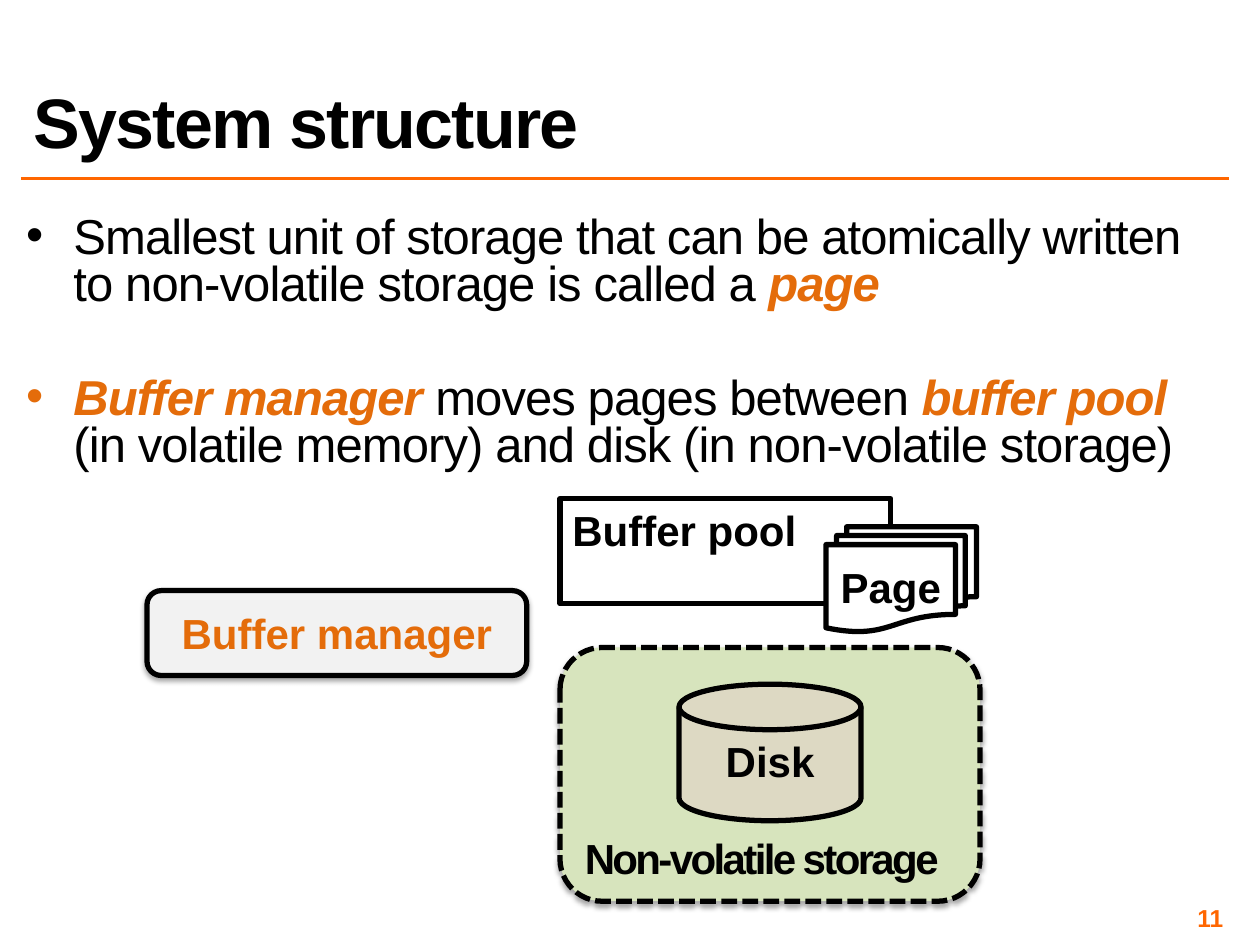
import pptx
import pptx.dml.color
import pptx.enum.dml
import pptx.enum.shapes
import pptx.enum.text
import pptx.oxml
import pptx.oxml.ns
import pptx.util
from lxml import etree

Pt = pptx.util.Pt
RGB = pptx.dml.color.RGBColor
KIND = pptx.enum.shapes.MSO_SHAPE
ALIGN = pptx.enum.text.PP_ALIGN
ANCHOR = pptx.enum.text.MSO_ANCHOR
qn = pptx.oxml.ns.qn

BLACK = RGB(0, 0, 0)
WHITE = RGB(0xFF, 0xFF, 0xFF)
RULE = RGB(0xFF, 0x66, 0x00)
ORANGE = RGB(0xE4, 0x6C, 0x0A)
GRAY = RGB(0xF2, 0xF2, 0xF2)
GREEN = RGB(0xD7, 0xE4, 0xBD)
SAND = RGB(0xDD, 0xD9, 0xC3)

SHADOW = (
    '<a:outerShdw %s blurRad="39400" dist="22900" dir="5400000" rotWithShape="0">'
    '<a:srgbClr val="000000"><a:alpha val="35000"/></a:srgbClr></a:outerShdw>'
    % pptx.oxml.ns.nsdecls("a")
)


class Deck:
    face = "Arial"
    edge = 3

    def __init__(self, wide, high):
        self.prs = pptx.Presentation()
        self.prs.slide_width, self.prs.slide_height = Pt(wide), Pt(high)
        self.slide = self.prs.slides.add_slide(self.prs.slide_layouts[6])

    def font(self, font, size, color, bold=True):
        font.name, font.size, font.bold = self.face, Pt(size), bold
        font.color.rgb = color

    def run(self, para, text, space=0):
        run = para.add_run()
        run.text = text
        if space:
            run._r.get_or_add_rPr().set("spc", str(int(space * 100)))
        return run

    def frame(self, shape, anchor, pad=None):
        frame = shape.text_frame
        frame.word_wrap = True
        frame.vertical_anchor = anchor
        if pad:
            (frame.margin_left, frame.margin_top,
             frame.margin_right, frame.margin_bottom) = map(Pt, pad)
        return frame

    def label(self, frame, text, size, color=BLACK, align=ALIGN.LEFT, space=0, lead=None):
        para = frame.paragraphs[0]
        para.alignment = align
        if lead:
            para.line_spacing = lead
        self.run(para, text, space)
        self.font(para.font, size, color)

    def text(self, box, text, size, anchor, pad=None, **style):
        shape = self.slide.shapes.add_textbox(*map(Pt, box))
        self.label(self.frame(shape, anchor, pad), text, size, **style)

    def list(self, box, items, size, gap, pad):
        """Each item is a list of (text, is key term) pairs."""
        shape = self.slide.shapes.add_textbox(*map(Pt, box))
        frame = self.frame(shape, ANCHOR.TOP, pad)
        for num, item in enumerate(items):
            para = frame.add_paragraph() if num else frame.paragraphs[0]
            para.line_spacing = 0.8
            para.space_before = Pt(gap if num else 0)
            props = para._p.get_or_add_pPr()
            props.set("marL", str(Pt(27)))
            props.set("indent", str(Pt(-27)))
            tint = etree.SubElement(props, qn("a:buClr"))
            color = ORANGE if item[0][1] else BLACK
            etree.SubElement(tint, qn("a:srgbClr")).set("val", str(color))
            etree.SubElement(props, qn("a:buFont")).set("typeface", self.face)
            etree.SubElement(props, qn("a:buChar")).set("char", "•")
            para.font.size = Pt(size)
            for text, key in item:
                font = self.run(para, text, -0.5).font
                self.font(font, size, ORANGE if key else BLACK, key)
                font.italic = key

    def line(self, left, top, right, color, width):
        line = self.slide.shapes.add_connector(
            pptx.enum.shapes.MSO_CONNECTOR.STRAIGHT, Pt(left), Pt(top), Pt(right), Pt(top))
        line.line.color.rgb, line.line.width = color, Pt(width)
        etree.SubElement(line._element.spPr, qn("a:effectLst"))

    def shape(self, kind, box, text, fill=None, anchor=ANCHOR.MIDDLE,
              shadow=False, dash=False, **style):
        shape = self.slide.shapes.add_shape(kind, *map(Pt, box))
        shape.shadow.inherit = False
        if shadow:
            glow = shape._element.spPr.find(qn("a:effectLst"))
            glow.append(pptx.oxml.parse_xml(SHADOW))
        if fill is None:
            shape.fill.background()
        else:
            shape.fill.solid()
            shape.fill.fore_color.rgb = fill
        shape.line.color.rgb, shape.line.width = BLACK, Pt(self.edge)
        if dash:
            shape.line.dash_style = pptx.enum.dml.MSO_LINE.SQUARE_DOT
        self.label(self.frame(shape, anchor), text, 24, **style)


def main():
    deck = Deck(720, 540)

    # Title, rule and page number
    deck.line(12, 102, 702, RULE, 2)
    deck.text((12, 12, 690, 84), "System structure", 40, ANCHOR.BOTTOM, space=-1, lead=0.8)
    deck.text((534, 516, 168, 17), "11", 14, ANCHOR.MIDDLE, (3, 3, 3, 3),
              color=RULE, align=ALIGN.RIGHT)

    # Bullets
    deck.list((12, 116, 690, 258), [
        [("Smallest unit of storage that can be atomically written to "
          "non-volatile storage is called a ", False), ("page", True)],
        [("Buffer manager", True), (" moves pages between ", False),
         ("buffer pool ", True),
         ("(in volatile memory) and disk (in non-volatile storage)", False)],
    ], 28, 38, (3, 8, 3, 3))

    # Memory side
    deck.shape(KIND.RECTANGLE, (320, 285, 189, 60), "Buffer pool", anchor=ANCHOR.TOP)
    deck.shape(KIND.FLOWCHART_ALTERNATE_PROCESS, (84, 337.5, 217, 48.5), "Buffer manager",
               GRAY, shadow=True, color=ORANGE, align=ALIGN.CENTER)
    deck.shape(KIND.FLOWCHART_MULTIDOCUMENT, (472, 301, 86, 60), "Page",
               WHITE, align=ALIGN.CENTER)

    # Storage side
    deck.shape(KIND.ROUNDED_RECTANGLE, (320, 370, 240, 145), "Non-volatile storage",
               GREEN, ANCHOR.BOTTOM, shadow=True, dash=True, space=-1.5)
    deck.shape(KIND.FLOWCHART_MAGNETIC_DISK, (388, 391, 104, 78), "Disk",
               SAND, ANCHOR.TOP, align=ALIGN.CENTER)

    deck.prs.save("out.pptx")


if __name__ == "__main__":
    main()
